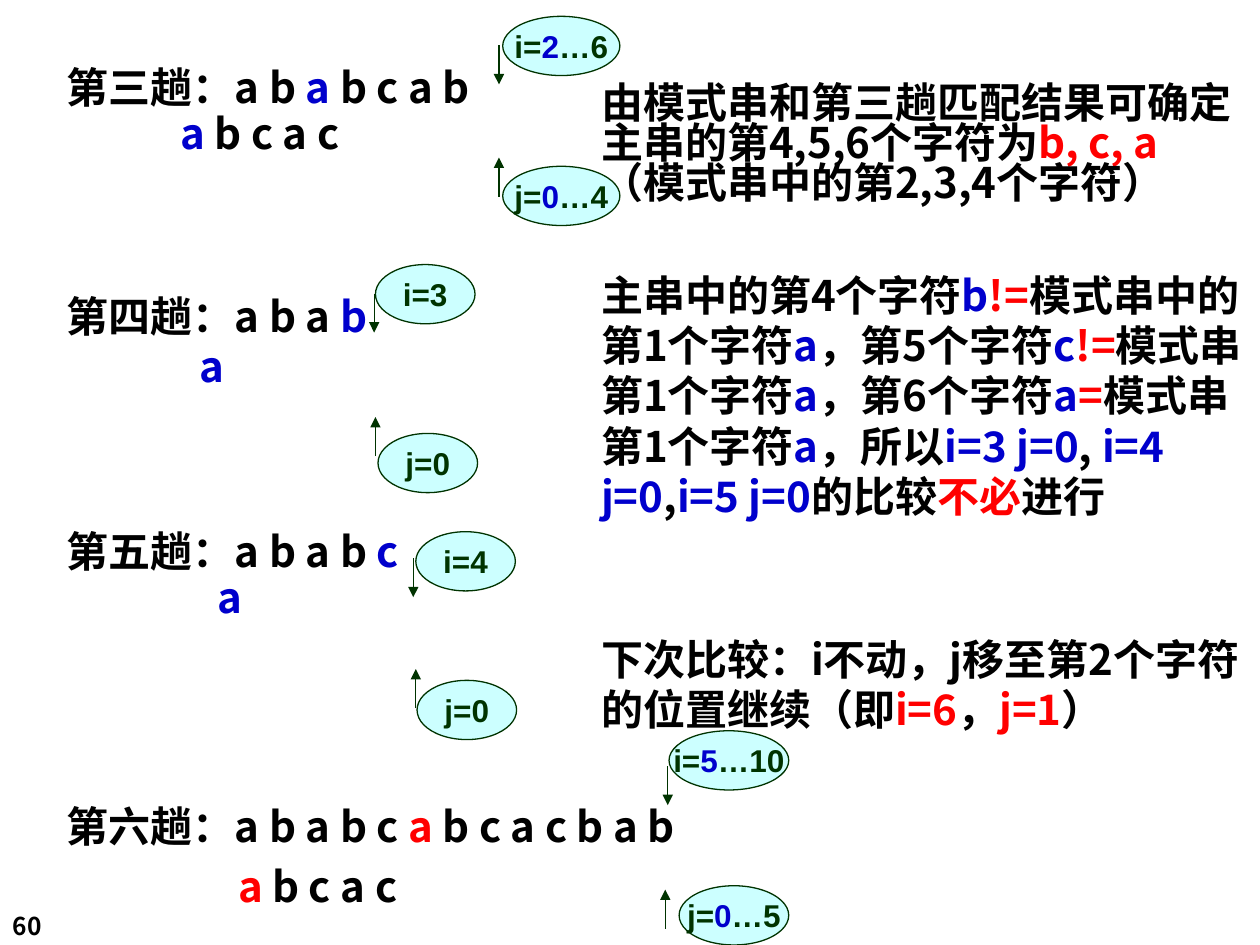
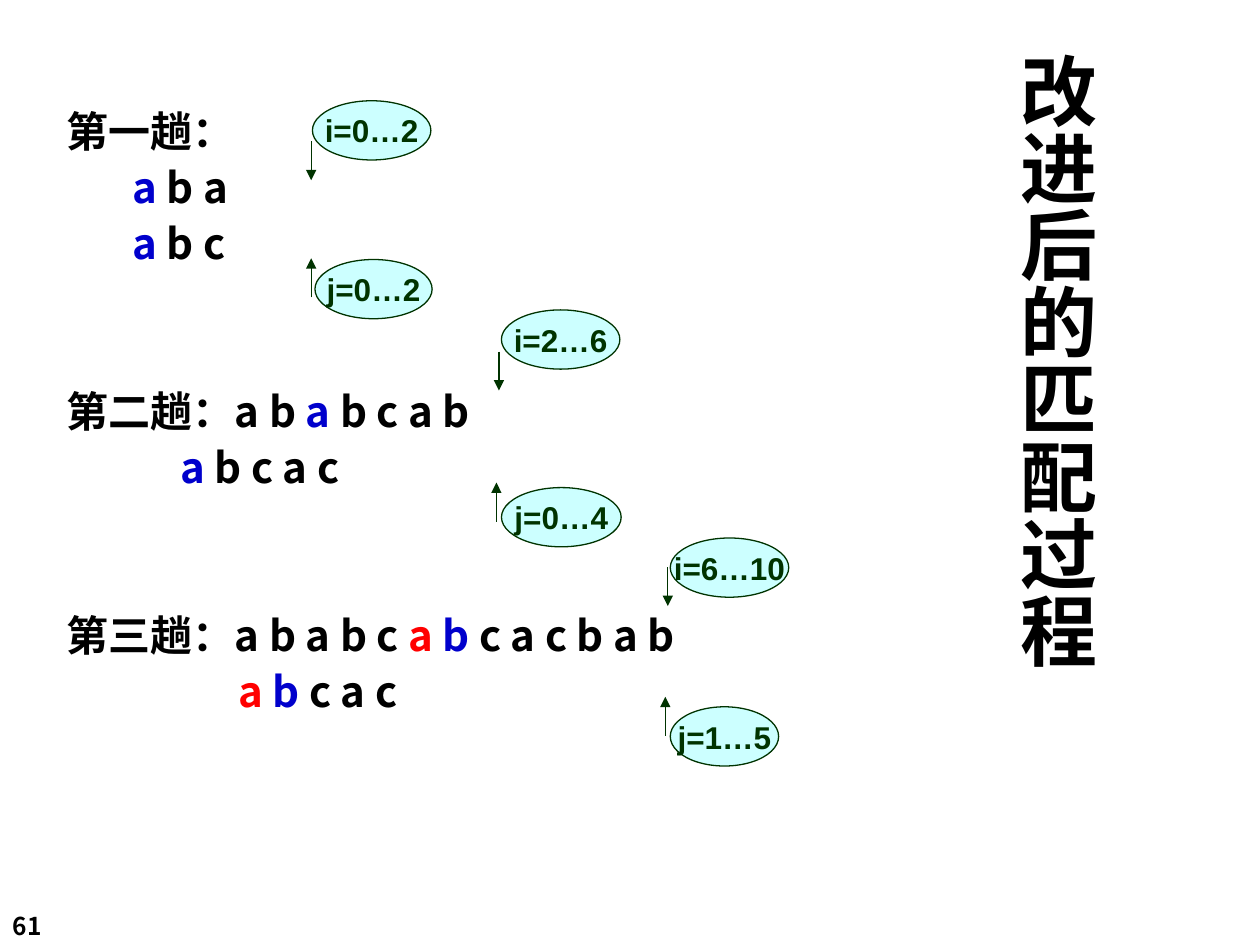
from lxml import etree
from pptx import Presentation
from pptx.dml.color import RGBColor
from pptx.enum.shapes import MSO_CONNECTOR, MSO_SHAPE
from pptx.enum.text import MSO_ANCHOR, PP_ALIGN
from pptx.oxml.ns import qn
from pptx.util import Inches, Pt

OVAL, STRAIGHT = MSO_SHAPE.OVAL, MSO_CONNECTOR.STRAIGHT
MIDDLE, TOP, CENTER, LEFT = MSO_ANCHOR.MIDDLE, MSO_ANCHOR.TOP, PP_ALIGN.CENTER, PP_ALIGN.LEFT

BLACK, BLUE, RED, GREEN, AQUA = "000000", "0000CC", "FF0000", "003300", "CCFFFF"
HAN = "Noto Sans CJK SC"
BODY = {"font": HAN, "size": 24, "color": BLACK, "align": LEFT}
BUBBLE = {"font": "Arial", "size": 18, "color": GREEN, "align": CENTER}
TITLE = {"font": HAN, "size": 44, "color": BLACK, "align": CENTER}
NUMBER = {"font": HAN, "size": 14, "color": BLACK, "align": LEFT}

WIDTH, HEIGHT = 10, 7.5
TRACE_LEFT, TRACE_WIDTH = 0.53, 6
PROSE_LEFT, PROSE_WIDTH = 4.77, 5.11
OVAL_HEIGHT, ARROW_LENGTH = 0.47, 0.31
FIRST_ROW, ROW_PITCH = 0.79, 32


def blue(text):
    return text, BLUE


def red(text):
    return text, RED


def row_top(row):
    return FIRST_ROW + row * ROW_PITCH / 72


# Traces: top, line pitch, indent of the pattern, lines
# Markers: label, arrow (x, top), oval (left, top, width)
# Prose: top, line pitch, runs
PAGES = [
    {
        "number": "60",
        "title": None,
        "traces": [
            (0.53, 26, 0.9, [["第三趟：a b ", blue("a"), " b c a b"],
                             [blue("a"), " b c a c"]]),
            (2.3, 29, 1.05, [["第四趟：a b a ", blue("b")], [blue("a")]]),
            (4.2, 26.5, 1.2, [["第五趟：a b a b ", blue("c")], [blue("a")]]),
            (6.27, 34.6, 1.36, [["第六趟：a b a b c ", red("a"), " b c a c b a b"],
                                [red("a"), " b c a c"]]),
        ],
        "markers": [
            (["i=", blue("2"), "…6"], (3.96, 0.36), (3.99, 0.13, 0.93)),
            (["j=", blue("0"), "…4"], (3.96, 1.25), (3.99, 1.32, 0.93)),
            (["i=3"], (2.97, 2.33), (2.98, 2.1, 0.79)),
            (["j=0"], (2.98, 3.31), (3, 3.44, 0.79)),
            (["i=4"], (3.28, 4.43), (3.3, 4.22, 0.79)),
            (["j=0"], (3.3, 5.31), (3.31, 5.4, 0.79)),
            (["i=", blue("5"), "…10"], (5.3, 6.08), (5.31, 5.8, 0.95)),
            (["j=", blue("0"), "…5"], (5.28, 7.06), (5.39, 7.03, 0.87)),
        ],
        "prose": [
            (0.69, 22.9, ["由模式串和第三趟匹配结果可确定主串的第4,5,6个字符为",
                          red("b, c, a "), "（模式串中的第2,3,4个字符）"]),
            (2.14, 28.7, ["主串中的第4个字符", blue("b"), red("!="),
                          "模式串中的第1个字符", blue("a"), "，第5个字符",
                          blue("c"), red("!="), "模式串第1个字符", blue("a"),
                          "，第6个字符", blue("a"), red("="), "模式串第1个字符",
                          blue("a"), "，所以", blue("i=3 j=0"), ",",
                          blue(" i=4 j=0"), ",", blue("i=5 j=0"), "的比较",
                          red("不必"), "进行"]),
            (5.03, 28.7, ["下次比较：i不动，j移至第2个字符的位置继续（即",
                          red("i=6"), "，", red("j=1"), "）"]),
        ],
    },
    {
        "number": "61",
        "title": "改进后的匹配过程",
        "traces": [
            (row_top(0), ROW_PITCH, 0.52, [["第一趟："], [blue("a"), " b a"],
                                           [blue("a"), " b c"]]),
            (row_top(5), ROW_PITCH, 0.9, [["第二趟：a b ", blue("a"), " b c a b"],
                                          [blue("a"), " b c a c"]]),
            (row_top(9), ROW_PITCH, 1.36, [["第三趟：a b a b c ", red("a "), blue("b "),
                                            "c a c b a b"],
                                           [red("a "), blue("b"), " c a c"]]),
        ],
        "markers": [
            (["i=0…2"], (2.47, 1.12), (2.48, 0.8, 0.94)),
            (["j=0…2"], (2.47, 2.05), (2.5, 2.06, 0.93)),
            (["i=2…6"], (3.96, 2.79), (3.98, 2.46, 0.94)),
            (["j=0…4"], (3.94, 3.83), (3.98, 3.87, 0.95)),
            (["i=6…10"], (5.3, 4.5), (5.32, 4.27, 0.94)),
            (["j=1…5"], (5.28, 5.53), (5.32, 5.61, 0.86)),
        ],
        "prose": [],
    },
]


def color(value):
    return RGBColor.from_string(value)


def write(frame, lines, style, pitch=None, indent=0, wrap=True, anchor=TOP):
    settings = {"word_wrap": wrap, "vertical_anchor": anchor, "margin_left": 0,
                "margin_right": 0, "margin_top": 0, "margin_bottom": 0}
    for name, value in settings.items():
        setattr(frame, name, value)
    for index, runs in enumerate(lines):
        para = frame.add_paragraph() if index else frame.paragraphs[0]
        para.alignment = style["align"]
        if pitch:
            para.line_spacing = Pt(pitch)
        if index and indent:
            para._p.get_or_add_pPr().set("marL", str(Inches(indent)))
        for run in runs:
            text, shade = run if isinstance(run, tuple) else (run, style["color"])
            span = para.add_run()
            span.text = text
            for name, value in {"name": style["font"], "size": Pt(style["size"]),
                                "bold": True}.items():
                setattr(span.font, name, value)
            span.font.color.rgb = color(shade)
            east = etree.SubElement(span.font._element, qn("a:ea"))
            east.set("typeface", style["font"])


def add_text(page, left, top, width, height, lines, style, pitch, indent=0):
    box = page.shapes.add_textbox(*map(Inches, (left, top, width, height)))
    write(box.text_frame, lines, style, pitch, indent)


def add_arrow(page, x, top, downward):
    ends = [top, top + ARROW_LENGTH]
    start, end = ends if downward else ends[::-1]
    arrow = page.shapes.add_connector(STRAIGHT, *map(Inches, (x, start, x, end)))
    arrow.line.color.rgb = color(GREEN)
    arrow.line.width = Pt(0.75)
    etree.SubElement(arrow.line._get_or_add_ln(), qn("a:tailEnd")).set("type", "triangle")
    etree.SubElement(arrow._element.spPr, qn("a:effectLst"))


def add_marker(page, label, arrow, oval):
    add_arrow(page, *arrow, downward=label[0].startswith("i"))
    bubble = page.shapes.add_shape(OVAL, *map(Inches, (*oval, OVAL_HEIGHT)))
    bubble.shadow.inherit = False
    bubble.fill.solid()
    bubble.fill.fore_color.rgb = color(AQUA)
    bubble.line.color.rgb = color(GREEN)
    bubble.line.width = Pt(0.75)
    write(bubble.text_frame, [label], BUBBLE, wrap=False, anchor=MIDDLE)


def add_vertical_title(page, text):
    title = page.shapes.title
    place = {"left": 7.95, "top": 0.42, "width": 0.86, "height": 6.08}
    for name, value in place.items():
        setattr(title, name, Inches(value))
    write(title.text_frame, [[text]], TITLE, anchor=MIDDLE)
    title.text_frame._txBody.bodyPr.set("vert", "eaVert")


def build_page(deck, content):
    layout = deck.slide_layouts.get_by_name("Title Only" if content["title"] else "Blank")
    page = deck.slides.add_slide(layout)
    add_text(page, 0.1, 7.21, 0.63, 0.25, [[content["number"]]], NUMBER, 18)
    for top, pitch, indent, lines in content["traces"]:
        add_text(page, TRACE_LEFT, top, TRACE_WIDTH, len(lines) * pitch / 72,
                 lines, BODY, pitch, indent)
    for marker in content["markers"]:
        add_marker(page, *marker)
    for top, pitch, runs in content["prose"]:
        add_text(page, PROSE_LEFT, top, PROSE_WIDTH, 1, [runs], BODY, pitch)
    if content["title"]:
        add_vertical_title(page, content["title"])


def main():
    deck = Presentation()
    deck.slide_width, deck.slide_height = Inches(WIDTH), Inches(HEIGHT)
    for content in PAGES:
        build_page(deck, content)
    deck.save("out.pptx")


if __name__ == "__main__":
    main()
